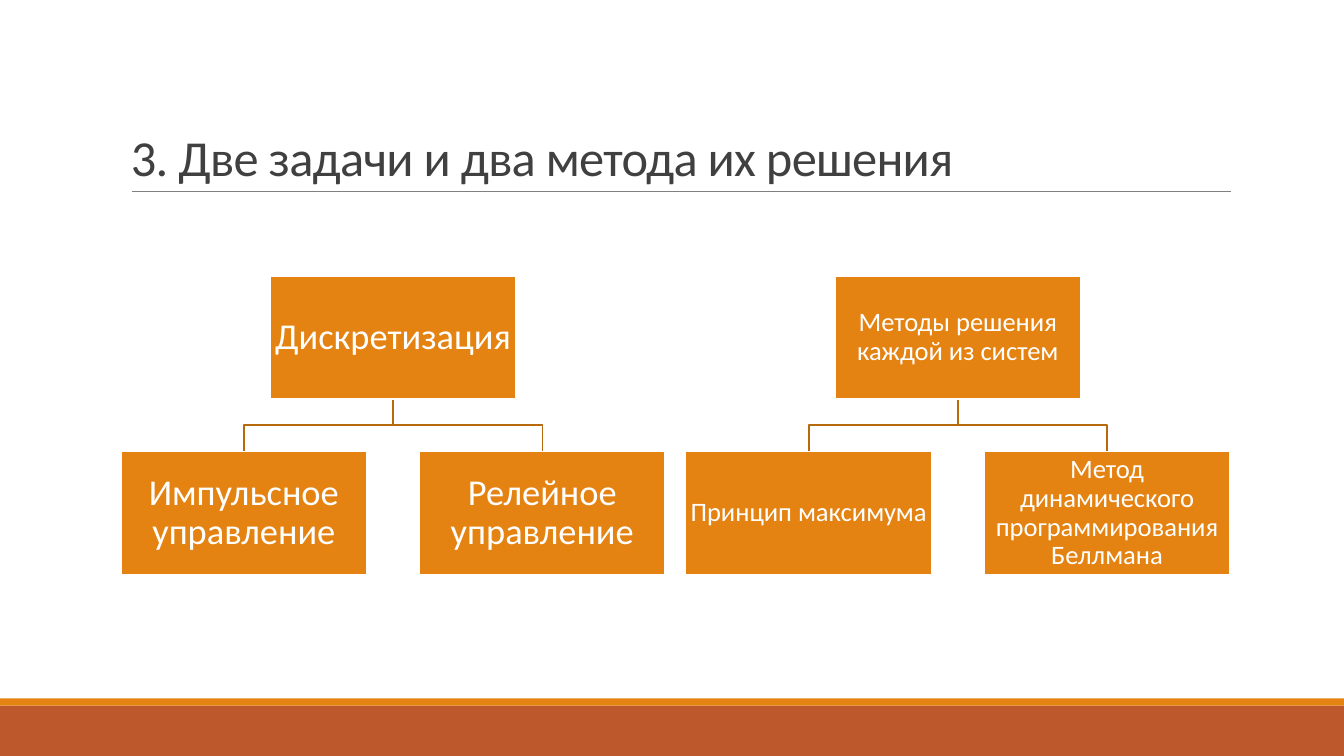
from dataclasses import dataclass

from lxml.etree import SubElement
from pptx import Presentation
from pptx.dml.color import RGBColor
from pptx.enum.shapes import MSO_CONNECTOR, MSO_SHAPE
from pptx.enum.text import MSO_ANCHOR, PP_ALIGN
from pptx.oxml.ns import qn
from pptx.util import Inches, Pt


@dataclass(frozen=True)
class Theme:
    font: str = "Calibri"
    orange: str = "E48312"
    rust: str = "BD582C"
    branch: str = "B7690E"
    rule: str = "808080"
    ink: str = "404040"
    white: str = "FFFFFF"
    title_size: float = 36
    rule_width: float = 0.5
    line_width: float = 1.25


@dataclass(frozen=True)
class Band:
    top: float
    height: float
    color: str


@dataclass(frozen=True)
class Tree:
    left: float
    root: str
    leaves: tuple[str, str]
    size: float
    inset: float


THEME = Theme()
SLIDE_W, SLIDE_H = 13.33, 7.5
BOX_W, BOX_H = 2.44, 1.22
LEAF_STEP = 2.96
ROOT_TOP, LEAF_TOP = 2.74, 4.48
BRANCH_TOP, BRANCH_MID = ROOT_TOP + BOX_H, 4.22

BANDS = (
    Band(7, 0.5, THEME.rust),
    Band(6.93, 0.07, THEME.orange),
)
TREES = (
    Tree(1.2, "Дискретизация",
         ("Импульсное управление", "Релейное управление"), 26, 0.02),
    Tree(6.8, "Методы решения каждой из систем",
         ("Принцип максимума", "Метод динамического программирования Беллмана"), 19, 0.01),
)


def set_attrs(obj, values: dict) -> None:
    for name, value in values.items():
        setattr(obj, name, value)


def set_line(line, color: str, width: float) -> None:
    line.color.rgb = RGBColor.from_string(color)
    line.width = Pt(width)


def write_text(sp, text: str, size: float, color: str, inset: tuple[float, float],
               frame: dict, paragraph: dict):
    tf = sp.text_frame
    dx, dy = (Inches(v) for v in inset)
    set_attrs(tf, {"word_wrap": True, "margin_left": dx, "margin_right": dx,
                   "margin_top": dy, "margin_bottom": dy, **frame})
    p = tf.paragraphs[0]
    set_attrs(p, paragraph)
    r = p.add_run()
    r.text = text
    set_attrs(r.font, {"name": THEME.font, "size": Pt(size)})
    r.font.color.rgb = RGBColor.from_string(color)
    return r


def add_rect(s, left: float, top: float, width: float, height: float, color: str):
    sp = s.shapes.add_shape(MSO_SHAPE.RECTANGLE, Inches(left), Inches(top),
                            Inches(width), Inches(height))
    sp.shadow.inherit = False
    sp.fill.solid()
    sp.fill.fore_color.rgb = RGBColor.from_string(color)
    sp.line.fill.background()
    return sp


def add_title(s, text: str) -> None:
    # Rule under the title
    rule = s.shapes.add_connector(MSO_CONNECTOR.STRAIGHT, Inches(1.31), Inches(1.9),
                                  Inches(12.21), Inches(1.9))
    set_line(rule.line, THEME.rule, THEME.rule_width)
    SubElement(rule._element.spPr, qn("a:effectLst"))
    # Title text, slightly condensed
    sp = s.shapes.add_textbox(Inches(1.2), Inches(0.31), Inches(11), Inches(1.59))
    r = write_text(sp, text, THEME.title_size, THEME.ink, (0.1, 0.05),
                   {"vertical_anchor": MSO_ANCHOR.BOTTOM}, {"line_spacing": 0.85})
    r.font._element.set("spc", "-50")


def add_box(s, left: float, top: float, text: str, tree: Tree) -> None:
    sp = add_rect(s, left, top, BOX_W, BOX_H, THEME.orange)
    set_line(sp.line, THEME.white, THEME.line_width)
    write_text(sp, text, tree.size, THEME.white, (tree.inset, tree.inset),
               {"vertical_anchor": MSO_ANCHOR.MIDDLE},
               {"alignment": PP_ALIGN.CENTER, "line_spacing": 0.9})


def add_branch(s, root_x: float, leaf_x: float) -> None:
    points = [(Inches(x), Inches(y)) for x, y in (
        (root_x, BRANCH_TOP), (root_x, BRANCH_MID),
        (leaf_x, BRANCH_MID), (leaf_x, LEAF_TOP))]
    fb = s.shapes.build_freeform(*points[0])
    fb.add_line_segments(points[1:], close=False)
    sp = fb.convert_to_shape()
    sp.shadow.inherit = False
    sp.fill.background()
    set_line(sp.line, THEME.branch, THEME.line_width)


def add_tree(s, tree: Tree) -> None:
    root_left = tree.left + LEAF_STEP / 2
    leaf_lefts = [tree.left + i * LEAF_STEP for i in range(len(tree.leaves))]
    # Branches lie behind the boxes
    for left in leaf_lefts:
        add_branch(s, root_left + BOX_W / 2, left + BOX_W / 2)
    add_box(s, root_left, ROOT_TOP, tree.root, tree)
    for left, text in zip(leaf_lefts, tree.leaves):
        add_box(s, left, LEAF_TOP, text, tree)


def main() -> None:
    prs = Presentation()
    set_attrs(prs, {"slide_width": Inches(SLIDE_W), "slide_height": Inches(SLIDE_H)})
    s = prs.slides.add_slide(prs.slide_layouts[6])
    s.background.fill.solid()
    s.background.fill.fore_color.rgb = RGBColor.from_string(THEME.white)
    # Footer bands
    for band in BANDS:
        add_rect(s, 0, band.top, SLIDE_W, band.height, band.color)
    add_title(s, "3. Две задачи и два метода их решения")
    # Task and method trees
    for tree in TREES:
        add_tree(s, tree)
    prs.save("out.pptx")


if __name__ == "__main__":
    main()
